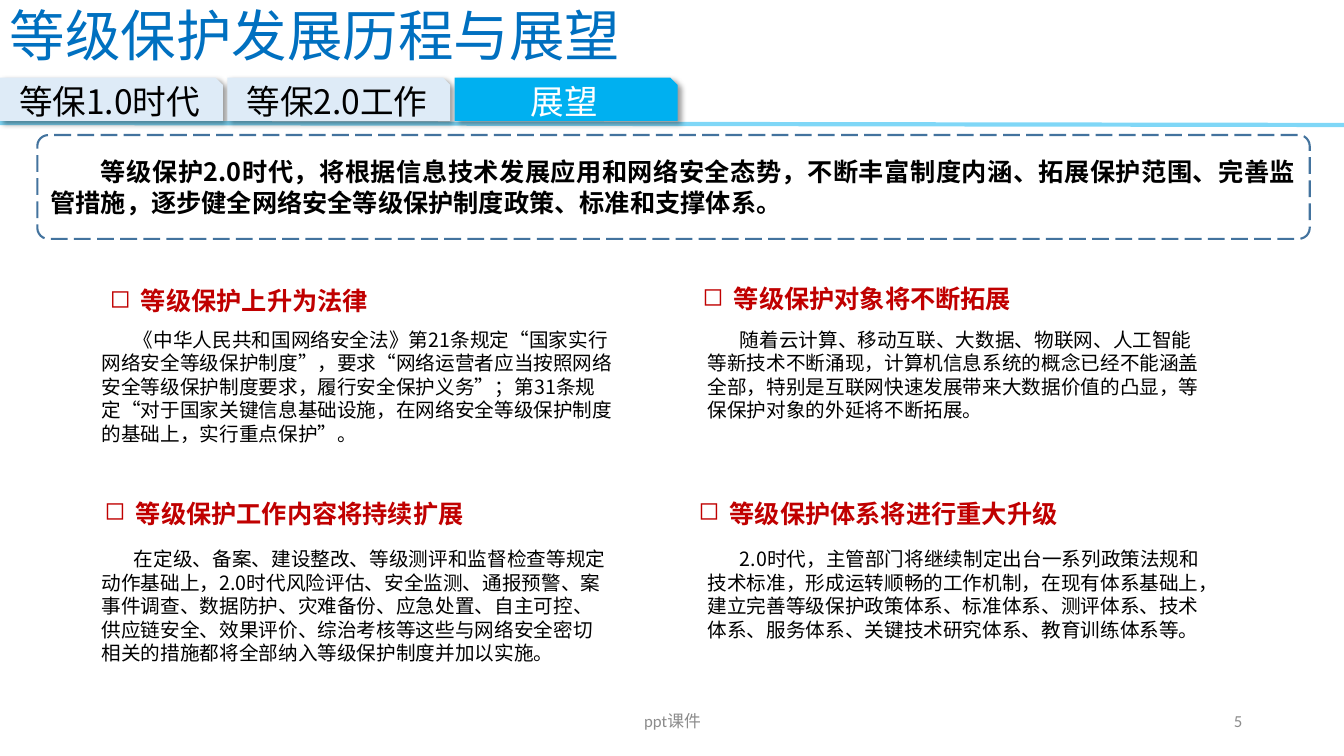
from lxml.etree import SubElement
from pptx import Presentation
from pptx.dml.color import RGBColor
from pptx.enum.dml import MSO_LINE as Dash
from pptx.enum.shapes import MSO_CONNECTOR as Conn, MSO_SHAPE as Kind
from pptx.enum.text import MSO_ANCHOR as Anchor, MSO_AUTO_SIZE as Fit, PP_ALIGN as Align
from pptx.oxml.ns import qn
from pptx.util import Inches, Pt

SANS = "Noto Sans CJK SC"
BLACK = RGBColor(0x00, 0x00, 0x00)
WHITE = RGBColor(0xFF, 0xFF, 0xFF)
BLUE = RGBColor(0x00, 0x70, 0xC0)
SKY = RGBColor(0x00, 0xB0, 0xF0)
PALE = RGBColor(0xDE, 0xEB, 0xF7)
STEEL = RGBColor(0x43, 0x73, 0x9E)
RED = RGBColor(0xC0, 0x00, 0x00)
GREY = RGBColor(0x8C, 0x8C, 0x8C)

deck = Presentation()
deck.slide_width, deck.slide_height = Inches(13.33), Inches(7.5)
slide = deck.slides.add_slide(deck.slide_layouts[6])
shapes = slide.shapes


def write(shape, text, size, color, bold=False, align=Align.LEFT,
          anchor=Anchor.MIDDLE, left=0, first=0, mark=None, face=SANS):
    """Fill a shape with one styled paragraph; left and first are indents in inches."""
    frame = shape.text_frame
    frame.word_wrap = True
    frame.vertical_anchor = anchor
    para = frame.paragraphs[0]
    para.text = text
    para.alignment = align
    props = para._p.get_or_add_pPr()
    props.set("marL", str(Inches(left)))
    props.set("indent", str(Inches(first)))
    if mark:
        SubElement(props, qn("a:buChar")).set("char", mark)
    font = para.font
    font.size, font.bold, font.name = Pt(size), bold, face
    font.color.rgb = color
    SubElement(font._rPr, qn("a:ea")).set("typeface", SANS)
    return frame


def box(x, y, w, h):
    return shapes.add_textbox(Inches(x), Inches(y), Inches(w), Inches(h))


# Rule under the tabs
rule = shapes.add_connector(Conn.STRAIGHT, 0, Inches(1.22), deck.slide_width, Inches(1.24))
rule.line.width = Pt(3)
rule.line.color.rgb = SKY
tint = rule.line._ln.find(".//" + qn("a:srgbClr"))
SubElement(tint, qn("a:alpha")).set("val", "50000")
SubElement(rule._element.spPr, qn("a:effectLst"))

# Tabs
TABS = [("等保1.0时代", PALE, BLACK), ("等保2.0工作", PALE, BLACK), ("展望", SKY, WHITE)]
for col, (label, fill, ink) in enumerate(TABS):
    tab = shapes.add_shape(Kind.SNIP_1_RECTANGLE, Inches(col * 2.255), Inches(0.77),
                           Inches(2.21), Inches(0.43))
    tab.fill.solid()
    tab.fill.fore_color.rgb = fill
    tab.line.fill.background()
    tab.shadow.inherit = False
    glow = SubElement(tab._element.spPr.find(qn("a:effectLst")), qn("a:outerShdw"),
                      blurRad=str(Pt(4)), dist=str(Pt(3)), dir=str(45 * 60000),
                      algn="tl", rotWithShape="0")
    shade = SubElement(glow, qn("a:srgbClr"), val="000000")
    SubElement(shade, qn("a:alpha"), val="40000")
    write(tab, label, 24, ink, align=Align.CENTER)

# Title
title = write(box(0, 0.01, 8.61, 0.75), "等级保护发展历程与展望", 39.6, BLUE)
title.paragraphs[0].line_spacing = 0.9

# Summary panel
panel = shapes.add_shape(Kind.ROUNDED_RECTANGLE, Inches(0.37), Inches(1.34),
                         Inches(12.62), Inches(1.03))
panel.adjustments[0] = 0.106
panel.fill.background()
panel.line.color.rgb = STEEL
panel.line.width = Pt(1.5)
panel.line.dash_style = Dash.LONG_DASH
panel.shadow.inherit = False
write(panel, "等级保护2.0时代，将根据信息技术发展应用和网络安全态势，不断丰富制度内涵、"
      "拓展保护范围、完善监管措施，逐步健全网络安全等级保护制度政策、标准和支撑体系。",
      18, BLACK, bold=True, align=Align.JUSTIFY, first=0.5)

# Four topics: heading place and width, body place and size, heading, body
TOPICS = [
    (0.99, 2.78, 2.79, 0.91, 3.2, 5.33, 1.28, "等级保护上升为法律",
     "《中华人民共和国网络安全法》第21条规定“国家实行网络安全等级保护制度”，"
     "要求“网络运营者应当按照网络安全等级保护制度要求，履行安全保护义务”；"
     "第31条规定“对于国家关键信息基础设施，在网络安全等级保护制度的基础上，实行重点保护”。"),
    (6.87, 2.76, 3.29, 6.92, 3.2, 5.1, 1.04, "等级保护对象将不断拓展",
     "随着云计算、移动互联、大数据、物联网、人工智能等新技术不断涌现，"
     "计算机信息系统的概念已经不能涵盖全部，特别是互联网快速发展带来大数据价值的凸显，"
     "等保保护对象的外延将不断拓展。"),
    (0.94, 4.89, 3.8, 0.91, 5.38, 5.22, 1.28, "等级保护工作内容将持续扩展",
     "在定级、备案、建设整改、等级测评和监督检查等规定动作基础上，"
     "2.0时代风险评估、安全监测、通报预警、案事件调查、数据防护、灾难备份、应急处置、"
     "自主可控、供应链安全、效果评价、综治考核等这些与网络安全密切相关的措施"
     "都将全部纳入等级保护制度并加以实施。"),
    (6.83, 4.89, 3.8, 6.92, 5.38, 5.1, 1.28, "等级保护体系将进行重大升级",
     "2.0时代，主管部门将继续制定出台一系列政策法规和技术标准，形成运转顺畅的工作机制，"
     "在现有体系基础上，建立完善等级保护政策体系、标准体系、测评体系、技术体系、"
     "服务体系、关键技术研究体系、教育训练体系等。"),
]
for hx, hy, hw, bx, by, bw, bh, head, body in TOPICS:
    frame = write(box(hx, hy, hw, 0.4), head, 18, RED, bold=True, anchor=Anchor.TOP,
                  left=0.31, first=-0.31, mark="◻")
    frame.word_wrap = False
    frame.auto_size = Fit.SHAPE_TO_FIT_TEXT
    frame = write(box(bx, by, bw, bh), body, 14, BLACK, anchor=Anchor.TOP, first=0.32)
    frame.auto_size = Fit.SHAPE_TO_FIT_TEXT

# Footer
write(box(9.42, 6.95, 3, 0.4), "5", 12, GREY, align=Align.RIGHT, face="Calibri")
write(box(4.42, 6.95, 4.5, 0.4), "ppt课件", 12, GREY, align=Align.CENTER, face="Calibri")

deck.save("out.pptx")
